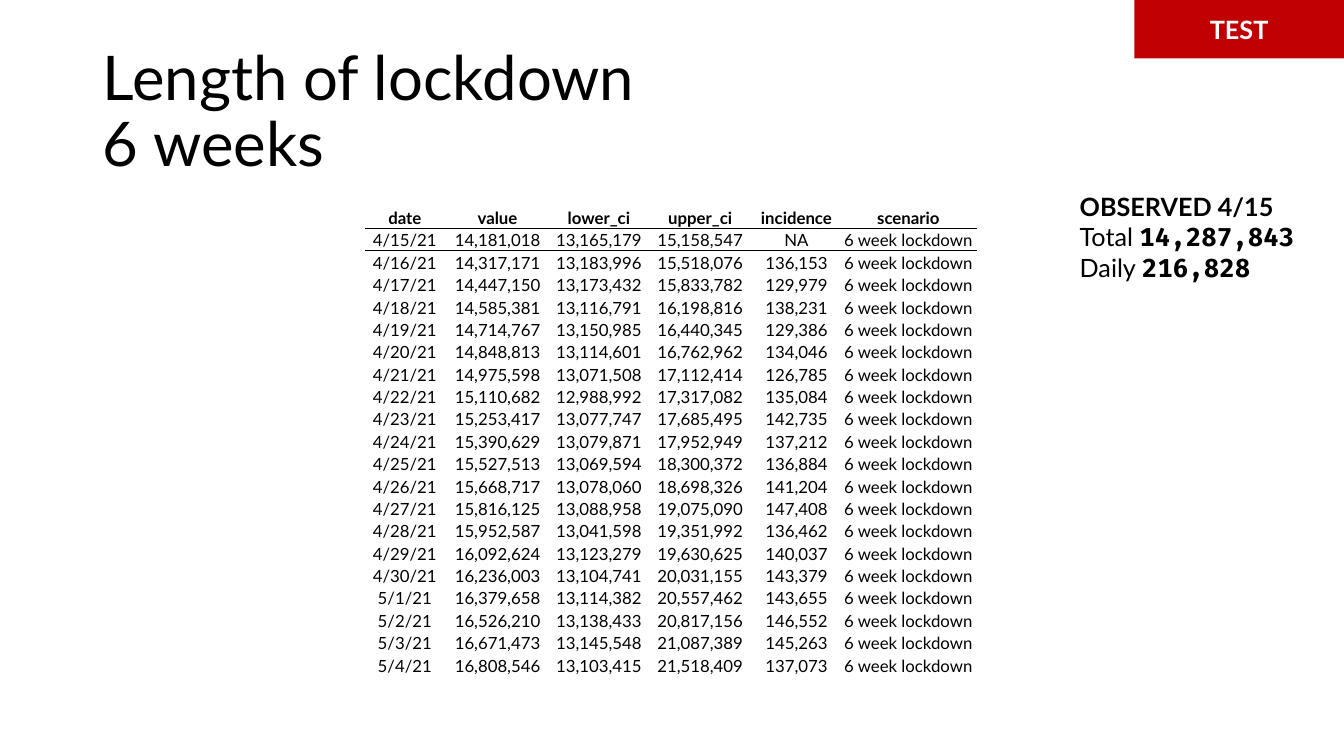
from dataclasses import dataclass

from lxml.etree import SubElement
from pptx import Presentation
from pptx.dml.color import RGBColor
from pptx.enum.shapes import MSO_SHAPE as Shape
from pptx.enum.text import MSO_ANCHOR as Anchor, MSO_AUTO_SIZE as AutoSize, PP_ALIGN as Align
from pptx.oxml import parse_xml
from pptx.oxml.ns import nsdecls, qn
from pptx.util import Inches, Pt

TITLE = "Length of lockdown\v6 weeks"
BADGE = "TEST"
SCENARIO = "6 week lockdown"
HEADER = ("date", "value", "lower_ci", "upper_ci", "incidence", "scenario")
FORECAST = [
    ("4/15/21", "14,181,018", "13,165,179", "15,158,547", "NA"),
    ("4/16/21", "14,317,171", "13,183,996", "15,518,076", "136,153"),
    ("4/17/21", "14,447,150", "13,173,432", "15,833,782", "129,979"),
    ("4/18/21", "14,585,381", "13,116,791", "16,198,816", "138,231"),
    ("4/19/21", "14,714,767", "13,150,985", "16,440,345", "129,386"),
    ("4/20/21", "14,848,813", "13,114,601", "16,762,962", "134,046"),
    ("4/21/21", "14,975,598", "13,071,508", "17,112,414", "126,785"),
    ("4/22/21", "15,110,682", "12,988,992", "17,317,082", "135,084"),
    ("4/23/21", "15,253,417", "13,077,747", "17,685,495", "142,735"),
    ("4/24/21", "15,390,629", "13,079,871", "17,952,949", "137,212"),
    ("4/25/21", "15,527,513", "13,069,594", "18,300,372", "136,884"),
    ("4/26/21", "15,668,717", "13,078,060", "18,698,326", "141,204"),
    ("4/27/21", "15,816,125", "13,088,958", "19,075,090", "147,408"),
    ("4/28/21", "15,952,587", "13,041,598", "19,351,992", "136,462"),
    ("4/29/21", "16,092,624", "13,123,279", "19,630,625", "140,037"),
    ("4/30/21", "16,236,003", "13,104,741", "20,031,155", "143,379"),
    ("5/1/21", "16,379,658", "13,114,382", "20,557,462", "143,655"),
    ("5/2/21", "16,526,210", "13,138,433", "20,817,156", "146,552"),
    ("5/3/21", "16,671,473", "13,145,548", "21,087,389", "145,263"),
    ("5/4/21", "16,808,546", "13,103,415", "21,518,409", "137,073"),
]
OBSERVED_HEAD = "OBSERVED 4/15"
OBSERVED = [("Total ", "14,287,843"), ("Daily ", "216,828")]
COLUMN_WIDTHS = (0.79, 1.05, 0.96, 1.05, 0.86, 1.36)


@dataclass(frozen=True)
class Theme:
    text: str = "000000"
    badge_fill: str = "C00000"
    badge_text: str = "FFFFFF"
    font: str = "Lato"
    mono: str = "Fira Code"
    title_size: int = 44
    label_size: int = 18
    table_size: int = 12
    rule_width: float = 0.5


THEME = Theme()
NO_GRID_STYLE = "{2D5ABB26-0587-4C30-8999-92F81FD0307C}"


def set_font(font, size, color=THEME.text, bold=False, name=THEME.font):
    font.name = name
    font.size = Pt(size)
    font.bold = bold
    font.color.rgb = RGBColor.from_string(color)


def add_rule(cell, edge):
    """Draw a thin line on one edge of a cell: "lnT" or "lnB"."""
    ln = parse_xml(f'<a:{edge} {nsdecls("a")} w="{Pt(THEME.rule_width)}"/>')
    fill = SubElement(ln, qn("a:solidFill"))
    SubElement(fill, qn("a:srgbClr"), val=THEME.text)
    cell._tc.get_or_add_tcPr().insert(0, ln)


def add_title(slide):
    sp = slide.shapes.title
    sp.left, sp.top, sp.width, sp.height = map(Inches, (0.92, 0.4, 11.5, 1.45))
    tf = sp.text_frame
    tf.text = TITLE
    tf.word_wrap = True
    tf.auto_size = AutoSize.NONE
    tf.vertical_anchor = Anchor.MIDDLE
    p = tf.paragraphs[0]
    p.alignment = Align.LEFT
    p.line_spacing = 0.9
    set_font(p.font, THEME.title_size)


def add_forecast_table(slide):
    rows = [HEADER] + [row + (SCENARIO,) for row in FORECAST]
    frame = slide.shapes.add_table(len(rows), len(HEADER), Inches(3.62), Inches(2.04),
                                   Inches(sum(COLUMN_WIDTHS)), Inches(4.67))
    table = frame.table
    table.first_row = table.horz_banding = False
    next(frame.element.iter(qn("a:tableStyleId"))).text = NO_GRID_STYLE
    for column, width in zip(table.columns, COLUMN_WIDTHS):
        column.width = Inches(width)
    for i, row in enumerate(rows):
        for j, text in enumerate(row):
            cell = table.cell(i, j)
            cell.text = text
            cell.fill.background()
            cell.vertical_anchor = Anchor.BOTTOM
            cell.margin_left = cell.margin_right = cell.margin_top = Inches(0.01)
            cell.margin_bottom = 0
            p = cell.text_frame.paragraphs[0]
            p.alignment = Align.CENTER
            set_font(p.font, THEME.table_size, bold=i == 0)
            if i < 2:
                add_rule(cell, ("lnB", "lnT")[i])


def add_badge(slide):
    sp = slide.shapes.add_shape(Shape.RECTANGLE, Inches(11.25), 0, Inches(2.08), Inches(0.58))
    sp.shadow.inherit = False
    sp.fill.solid()
    sp.fill.fore_color.rgb = RGBColor.from_string(THEME.badge_fill)
    sp.line.fill.background()
    tf = sp.text_frame
    tf.text = BADGE
    tf.vertical_anchor = Anchor.MIDDLE
    p = tf.paragraphs[0]
    p.alignment = Align.CENTER
    set_font(p.font, THEME.label_size, THEME.badge_text, bold=True)


def add_observed(slide):
    sp = slide.shapes.add_textbox(Inches(10.61), Inches(1.85), Inches(2.42), Inches(1.01))
    tf = sp.text_frame
    tf.word_wrap = True
    tf.auto_size = AutoSize.SHAPE_TO_FIT_TEXT
    p = tf.paragraphs[0]
    p.text = OBSERVED_HEAD
    set_font(p.font, THEME.label_size, bold=True)
    for label, count in OBSERVED:
        p = tf.add_paragraph()
        for text, name, bold in ((label, THEME.font, False), (count, THEME.mono, True)):
            r = p.add_run()
            r.text = text
            set_font(r.font, THEME.label_size, bold=bold, name=name)


def main():
    prs = Presentation()
    prs.slide_width, prs.slide_height = Inches(13.33), Inches(7.5)
    slide = prs.slides.add_slide(prs.slide_layouts.get_by_name("Title Only"))
    add_title(slide)
    add_forecast_table(slide)
    add_badge(slide)
    add_observed(slide)
    prs.save("out.pptx")


if __name__ == "__main__":
    main()
